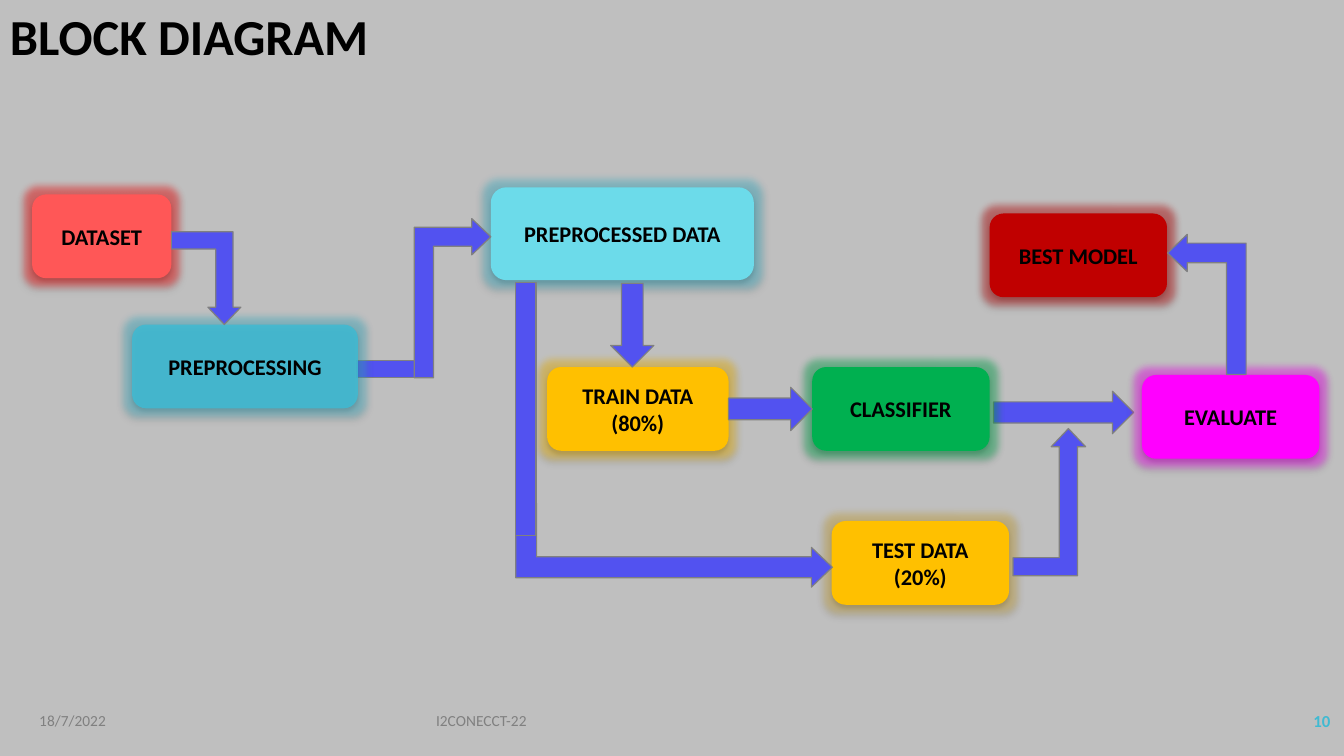
from lxml import etree
from pptx import Presentation
from pptx.dml.color import RGBColor
from pptx.enum.shapes import MSO_SHAPE as Shape
from pptx.enum.text import MSO_ANCHOR as Anchor, PP_ALIGN as Align
from pptx.oxml import parse_xml
from pptx.oxml.ns import nsdecls, qn
from pptx.util import Cm, Pt

COLORS = {
    "background": "BFBFBF", "text": "000000", "muted": "808080", "accent": "40BAD2",
    "arrow": "5252F0", "coral": "FF5757", "red": "FF0000", "aqua": "6CDBEA",
    "amber": "FFC000", "sand": "D8B040", "green": "00B050", "crimson": "C00000",
    "magenta": "FF00FF",
}
BOX_HEIGHT = 2.11
BOX_WIDTH = 4.47

# Boxes: text, left, top, width, height (cm), fill, glow, opacity in percent
BOXES = [
    ("DATASET", 0.81, 4.9, 3.51, BOX_HEIGHT, "coral", "red", 100),
    ("PREPROCESSED DATA", 12.37, 4.72, 6.63, 2.34, "aqua", "accent", 100),
    ("TRAIN DATA (80%)", 13.79, 9.25, 4.57, BOX_HEIGHT, "amber", "amber", 100),
    ("TEST DATA (20%)", 20.96, 13.13, BOX_WIDTH, BOX_HEIGHT, "amber", "sand", 100),
    ("PREPROCESSING", 3.33, 8.18, 5.69, BOX_HEIGHT, "accent", "accent", 88),
    ("CLASSIFIER", 20.47, 9.25, BOX_WIDTH, BOX_HEIGHT, "green", "green", 100),
    ("BEST MODEL", 24.94, 5.38, BOX_WIDTH, BOX_HEIGHT, "crimson", "crimson", 100),
    ("EVALUATE", 28.78, 9.45, BOX_WIDTH, BOX_HEIGHT, "magenta", "magenta", 100),
]

# Arrows: preset, left, top, width, height (cm, before turning), rotation, flipped
BAR, UP, BENT = Shape.RECTANGLE, Shape.UP_ARROW, Shape.BENT_UP_ARROW
ARROWS_BEHIND = [
    (BAR, 9.73, 8.33, 0.43, 1.93, 270, False),
    (Shape.RIGHT_ARROW, 25.04, 9.86, 3.53, 1.07, 0, False),
]
ARROWS_IN_FRONT = [
    (UP, 15.39, 7.14, 1.09, 2.11, 180, False),
    (BENT, 4.32, 5.84, 1.75, 2.34, 0, True),
    (BENT, 9.4, 6.55, 4.01, 1.93, 270, True),
    (BENT, 25.53, 10.8, 1.83, 3.71, 0, False),
    (BENT, 15.93, 9.75, 2.11, 7.98, 90, False),
    (BAR, 12.98, 7.11, 0.53, 6.38, 180, False),
    (UP, 18.87, 9.25, 1.09, 2.11, 90, False),
    (BENT, 28.65, 6.68, 3.53, 1.98, 270, False),
]

# Plain texts: text, left, top, width, height (cm), format
TEXTS = [
    ("BLOCK DIAGRAM", 0, 0, 10.52, 1.8, dict(size=36, bold=True, anchor=Anchor.TOP)),
    ("I2CONECCT-22", 10.74, 17.65, 16.41, 1.02, dict(size=11, color="muted")),
    ("10", 29.54, 17.65, 4.24, 1.02,
     dict(size=12, color="accent", bold=True, align=Align.RIGHT)),
    ("18/7/2022", 0.74, 17.65, 7.62, 1.02, dict(size=11, color="muted")),
]


def rgb(name):
    return RGBColor.from_string(COLORS[name])


def write(shape, text, size=16, color="text", bold=False, align=Align.LEFT,
          anchor=Anchor.MIDDLE):
    frame = shape.text_frame
    frame.word_wrap = True
    frame.vertical_anchor = anchor
    para = frame.paragraphs[0]
    para.alignment = align
    span = para.add_run()
    span.text = text
    span.font.name = "Calibri"
    span.font.size = Pt(size)
    span.font.bold = bold
    span.font.color.rgb = rgb(color)


def add_filled(slide, preset, frame, fill):
    shape = slide.shapes.add_shape(preset, *map(Cm, frame))
    shape.shadow.inherit = False
    shape.fill.solid()
    shape.fill.fore_color.rgb = rgb(fill)
    return shape


def add_box(slide, text, left, top, width, height, fill, glow, opacity):
    box = add_filled(slide, Shape.ROUNDED_RECTANGLE, (left, top, width, height), fill)
    box.line.fill.background()
    properties = box.element.spPr
    if opacity < 100:
        color = properties.find(qn("a:solidFill"))[0]
        etree.SubElement(color, qn("a:alpha"), val=str(opacity * 1000))
    # Glow and soft shadow
    effects = parse_xml(
        f'<a:effectLst {nsdecls("a")}>'
        f'<a:glow rad="{Pt(11)}"><a:srgbClr val="{COLORS[glow]}">'
        '<a:alpha val="40000"/></a:srgbClr></a:glow>'
        f'<a:outerShdw blurRad="{Pt(3.5)}" dist="{Pt(2.2)}" dir="5400000" rotWithShape="0">'
        '<a:srgbClr val="000000"><a:alpha val="32000"/></a:srgbClr></a:outerShdw>'
        '</a:effectLst>')
    properties.replace(properties.find(qn("a:effectLst")), effects)
    write(box, text, bold=True, align=Align.CENTER)


def add_arrow(slide, preset, left, top, width, height, rotation, flipped):
    arrow = add_filled(slide, preset, (left, top, width, height), "arrow")
    arrow.line.color.rgb = rgb("muted")
    arrow.line.width = Pt(0.85)
    arrow.rotation = rotation
    if flipped:
        arrow.element.spPr.find(qn("a:xfrm")).set("flipV", "1")
    if preset == BENT:
        for index, value in enumerate((0.25, 0.237, 0.25)):
            arrow.adjustments[index] = value


def main():
    deck = Presentation()
    deck.slide_width, deck.slide_height = Cm(33.87), Cm(19.05)
    page = deck.slides.add_slide(deck.slide_layouts[6])
    page.background.fill.solid()
    page.background.fill.fore_color.rgb = rgb("background")

    # Diagram
    for arrow in ARROWS_BEHIND:
        add_arrow(page, *arrow)
    for box in BOXES:
        add_box(page, *box)
    for arrow in ARROWS_IN_FRONT:
        add_arrow(page, *arrow)

    # Title and footer
    for text, left, top, width, height, style in TEXTS:
        write(page.shapes.add_textbox(Cm(left), Cm(top), Cm(width), Cm(height)), text, **style)

    deck.save("out.pptx")


if __name__ == "__main__":
    main()
